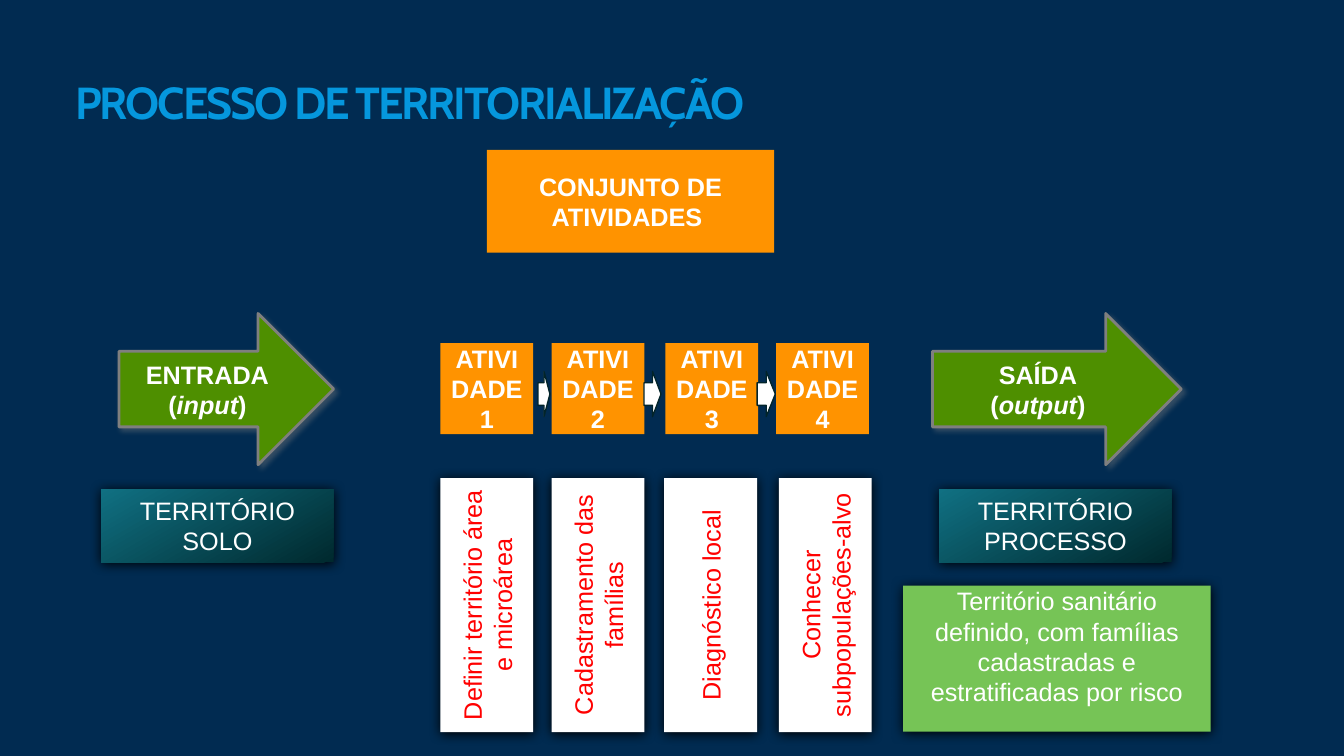
from collections import namedtuple
from dataclasses import dataclass

from pptx import Presentation
from pptx.dml.color import RGBColor
from pptx.enum.shapes import MSO_SHAPE as Preset
from pptx.enum.text import MSO_ANCHOR as Anchor, PP_ALIGN as Align
from pptx.oxml import parse_xml
from pptx.oxml.ns import nsdecls
from pptx.util import Cm, Pt

Box = namedtuple("Box", "left top width height")
Shadow = namedtuple("Shadow", "color alpha blur distance angle")


@dataclass(frozen=True)
class Theme:
    """Colours, fonts and type sizes of the slide."""
    background: str = "012B51"
    title: str = "0597DD"
    white: str = "FFFFFF"
    orange: str = "FF9300"
    green: str = "4E8F00"
    light_green: str = "76C456"
    red: str = "FF0000"
    gray: str = "7F7F7F"
    outline: str = "02242A"
    teal: tuple = ("00292E", "107082")
    title_font: str = "Cabin"
    body_font: str = "Arial"
    title_size: int = 32
    body_size: int = 18
    arrow_shadow: Shadow = Shadow("808080", 40, 4, 3, 45)
    card_shadow: Shadow = Shadow("000000", 100, 8.5, 1, 90)


THEME = Theme()


def rgb(color):
    """Turn a hex string into a colour."""
    return RGBColor.from_string(color)


def inside(region, left, top, width, height):
    """Give a box placed relative to the corner of a region."""
    return Box(region.left + left, region.top + top, width, height)


def add_run(paragraph, text, color, bold=False, italic=False):
    """Add one run of body text."""
    run = paragraph.add_run()
    run.text = text
    font = run.font
    font.name, font.size = THEME.body_font, Pt(THEME.body_size)
    font.bold, font.italic = bold, italic
    font.color.rgb = rgb(color)


def add_shadow(shape, shadow):
    """Give a shape an outer shadow."""
    shape.element.spPr.find("{*}effectLst").append(parse_xml(
        f'<a:outerShdw {nsdecls("a")} blurRad="{Pt(shadow.blur)}" '
        f'dist="{Pt(shadow.distance)}" dir="{shadow.angle * 60000}" '
        f'algn="tl" rotWithShape="0"><a:srgbClr val="{shadow.color}">'
        f'<a:alpha val="{shadow.alpha * 1000}"/></a:srgbClr></a:outerShdw>'))


def add_block(slide, box, fill, preset=Preset.RECTANGLE, line=None,
              line_width=1, shadow=None):
    """Add a filled shape; a pair of colours makes a gradient."""
    shape = slide.shapes.add_shape(preset, *map(Cm, box))
    shape.shadow.inherit = False
    if shadow:
        add_shadow(shape, shadow)
    if isinstance(fill, tuple):
        shape.fill.gradient()
        shape.fill.gradient_angle = 120
        for stop, color in zip(shape.fill.gradient_stops, fill):
            stop.color.rgb = rgb(color)
    else:
        shape.fill.solid()
        shape.fill.fore_color.rgb = rgb(fill)
    if line:
        shape.line.color.rgb = rgb(line)
        shape.line.width = Pt(line_width)
    else:
        shape.line.fill.background()
    return shape


def add_label(shape, text, color=THEME.white, bold=False):
    """Write one centred paragraph in a shape."""
    frame = shape.text_frame
    frame.word_wrap = True
    frame.vertical_anchor = Anchor.MIDDLE
    frame.paragraphs[0].alignment = Align.CENTER
    add_run(frame.paragraphs[0], text, color, bold)
    return frame


def add_title(slide, box, text):
    """Add the slide title."""
    frame = slide.shapes.add_textbox(*map(Cm, box)).text_frame
    frame.word_wrap = True
    frame.vertical_anchor = Anchor.MIDDLE
    frame.margin_left = frame.margin_right = 0
    frame.margin_top = frame.margin_bottom = 0
    paragraph = frame.paragraphs[0]
    paragraph.line_spacing = 0.9
    run = paragraph.add_run()
    run.text = text
    font = run.font
    font.name, font.size, font.bold = THEME.title_font, Pt(THEME.title_size), True
    font.color.rgb = rgb(THEME.title)
    font._element.set("spc", "-150")


def add_end_point(slide, arrow_box, territory_box, name, term, territory):
    """Add an input or output arrow and the territory below it."""
    arrow = add_block(slide, arrow_box, THEME.green, Preset.RIGHT_ARROW,
                      THEME.gray, 2, THEME.arrow_shadow)
    frame = add_label(arrow, name, bold=True)
    paragraph = frame.add_paragraph()
    paragraph.alignment = Align.CENTER
    for text, italic in (("(", False), (term, True), (")", False)):
        add_run(paragraph, text, THEME.white, True, italic)
    plate = add_block(slide, territory_box, THEME.teal, shadow=THEME.card_shadow)
    add_label(plate, territory)


def add_activities(slide, region):
    """Add the header, the chain of activities and their descriptions."""
    header = add_block(slide, inside(region, 1.17, 0, 7.24, 2.59), THEME.orange)
    add_label(header, "CONJUNTO DE ATIVIDADES ", bold=True)
    activities = (
        (0, 0, "Definir território área e microárea"),
        (2.8, 2.8, "Cadastramento das famílias"),
        (5.67, 5.64, "Diagnóstico local"),
        (8.46, 8.53, "Conhecer subpopulações-alvo"),
    )
    for number, (step_left, card_left, text) in enumerate(activities, 1):
        step = add_block(slide, inside(region, step_left, 4.87, 2.34, 2.29),
                         THEME.orange)
        add_label(step, f"ATIVIDADE {number}", bold=True)
        card = add_block(slide, inside(region, card_left, 8.27, 2.34, 6.4),
                         THEME.white, shadow=THEME.card_shadow)
        add_label(card, text, THEME.red)
        card.element.txBody.bodyPr.set("vert", "vert270")
    for left, width in ((2.46, 0.3), (5.13, 0.43), (7.98, 0.46)):
        add_block(slide, inside(region, left, 5.58, width, 1.14), THEME.white,
                  Preset.RIGHT_ARROW, THEME.outline)


def add_result(slide, box, text):
    """Add the result, written from the top edge of its box."""
    result = add_block(slide, box, THEME.light_green, shadow=THEME.card_shadow)
    frame = add_label(result, text)
    frame.vertical_anchor = Anchor.TOP
    frame.margin_top = 0


def main():
    """Build and save the presentation."""
    presentation = Presentation()
    presentation.slide_width, presentation.slide_height = Cm(33.87), Cm(19.05)
    slide = presentation.slides.add_slide(presentation.slide_layouts[6])
    slide.background.fill.solid()
    slide.background.fill.fore_color.rgb = rgb(THEME.background)

    add_title(slide, Box(1.9, 2.06, 25.93, 1.19), "PROCESSO DE TERRITORIALIZAÇÃO")
    add_end_point(slide, Box(3, 7.9, 5.41, 3.81), Box(2.55, 12.33, 5.86, 1.84),
                  "ENTRADA", "input", "TERRITÓRIO SOLO")
    add_activities(slide, Box(11.1, 3.78, 10.87, 14.67))
    add_end_point(slide, Box(23.5, 7.9, 6.27, 3.81), Box(23.67, 12.33, 5.86, 1.84),
                  "SAÍDA", "output", "TERRITÓRIO PROCESSO")
    add_result(slide, Box(22.76, 14.76, 7.75, 3.68),
               "Território sanitário definido, com famílias cadastradas e "
               "estratificadas por risco")
    presentation.save("out.pptx")


if __name__ == "__main__":
    main()
